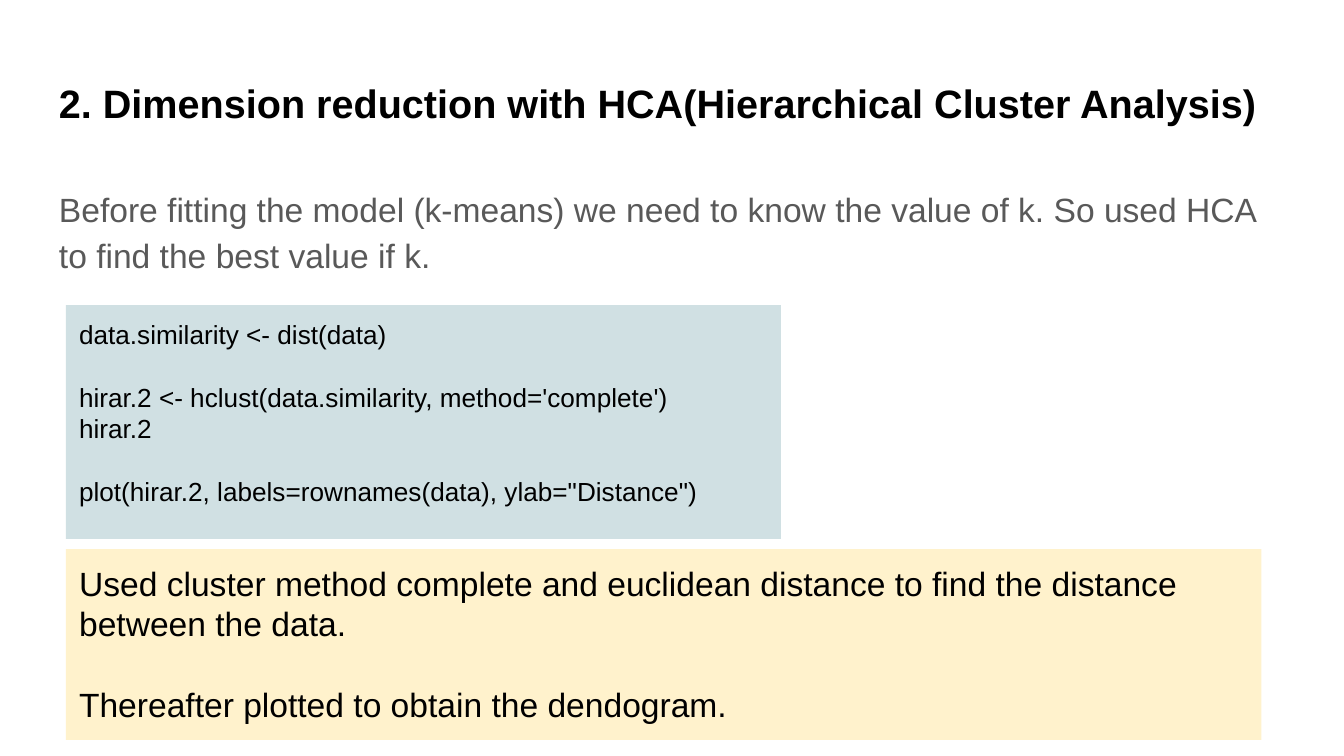
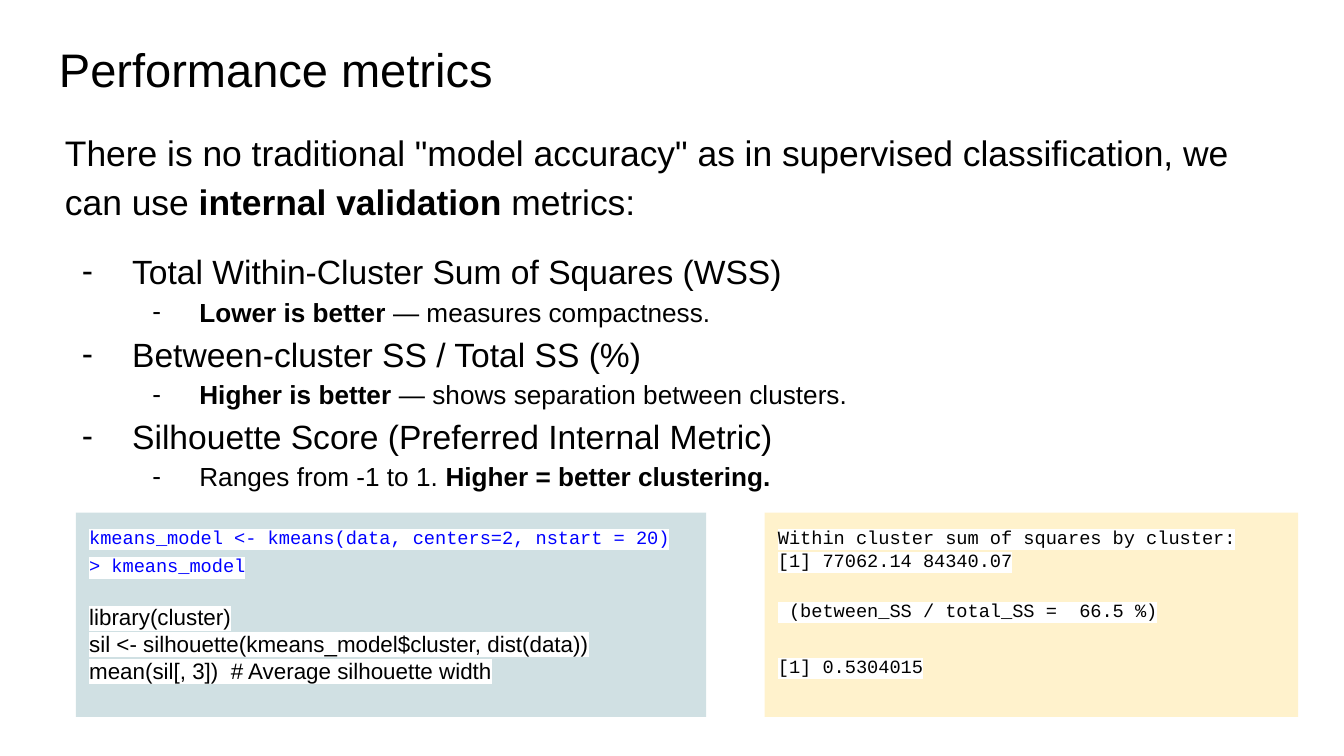
from dataclasses import dataclass

from lxml.etree import SubElement
from pptx import Presentation
from pptx.dml.color import RGBColor
from pptx.enum.shapes import MSO_SHAPE
from pptx.enum.text import MSO_ANCHOR, PP_ALIGN
from pptx.oxml.ns import qn
from pptx.util import Pt

EMU_PER_PX = 4572
COLORS = {
    "ink": "000000",
    "grey": "595959",
    "command": "0000FF",
    "paper": "FFFFFF",
    "code": "D0E0E3",
    "result": "FFF2CC",
}
BODY_FONT = "Arial"
CODE_FONT = "Courier New"
BODY_SPACING = 1.15
CODE_SPACING = 1.25
INDENTS = [(100, -75), (200, -70)]
INSET = 20


@dataclass
class Line:
    text: str
    size: float = 18
    color: str = "ink"
    font: str = BODY_FONT
    bold: bool = False
    spacing: float = 1.0
    before: float = 0
    level: int | None = None
    highlight: bool = False


def px(length):
    return length * EMU_PER_PX


def rgb(name):
    return RGBColor.from_string(COLORS[name])


def add_bullet(paragraph, level):
    paragraph.level = level
    margin, hanging = INDENTS[level]
    properties = paragraph._p.get_or_add_pPr()
    properties.set("marL", str(px(margin)))
    properties.set("indent", str(px(hanging)))
    bullet_color = SubElement(properties, qn("a:buClr"))
    SubElement(bullet_color, qn("a:srgbClr"), val=COLORS["ink"])
    SubElement(properties, qn("a:buFont"), typeface=BODY_FONT)
    SubElement(properties, qn("a:buChar"), char="-")


def add_highlight(run):
    highlight = SubElement(run._r.get_or_add_rPr(), qn("a:highlight"))
    SubElement(highlight, qn("a:srgbClr"), val=COLORS["paper"])


def write_line(paragraph, line):
    paragraph.alignment = PP_ALIGN.LEFT
    paragraph.line_spacing = line.spacing
    paragraph.space_before = Pt(line.before)
    if line.level is not None:
        add_bullet(paragraph, line.level)
    paragraph.font.size = Pt(line.size)
    paragraph.font.name = line.font
    paragraph.font.color.rgb = rgb(line.color)
    parts = line.text.split("**")
    if len(parts) == 1:
        paragraph.font.bold = line.bold
    for index, part in enumerate(parts):
        if not part:
            continue
        run = paragraph.add_run()
        run.text = part
        if len(parts) > 1:
            run.font.bold = index % 2 == 1
        if line.highlight:
            add_highlight(run)


def write_lines(frame, lines):
    frame.word_wrap = True
    frame.vertical_anchor = MSO_ANCHOR.TOP
    frame.margin_left = frame.margin_right = px(INSET)
    frame.margin_top = frame.margin_bottom = px(INSET)
    for index, line in enumerate(lines):
        paragraph = frame.add_paragraph() if index else frame.paragraphs[0]
        write_line(paragraph, line)


def add_text(slide, box, lines):
    text = slide.shapes.add_textbox(*map(px, box))
    write_lines(text.text_frame, lines)


def add_title(slide, top, text, size, bold=False):
    add_text(slide, (68, top, 1864, 126), [Line(text, size, bold=bold)])


def add_panel(slide, box, fill, lines):
    panel = slide.shapes.add_shape(MSO_SHAPE.RECTANGLE, *map(px, box))
    panel.shadow.inherit = False
    panel.fill.solid()
    panel.fill.fore_color.rgb = rgb(fill)
    panel.line.fill.background()
    write_lines(panel.text_frame, lines)


def console(text, color="ink", spacing=1.0, before=0):
    return Line(text, 10, color, CODE_FONT, spacing=spacing, before=before, highlight=True)


def build_hca(slide):
    add_title(slide, 98, "2. Dimension reduction with HCA(Hierarchical Cluster Analysis)", 21.2, bold=True)
    add_text(slide, (68, 252, 1864, 748), [
        Line("Before fitting the model (k-means) we need to know the value of k. "
             "So used HCA to find the best value if k.", color="grey", spacing=BODY_SPACING),
    ])
    add_panel(slide, (98, 454, 1064, 348), "code", [
        Line("data.similarity <- dist(data)", 14),
        Line("hirar.2 <- hclust(data.similarity, method='complete')", 14, before=16.8),
        Line("hirar.2", 14),
        Line('plot(hirar.2, labels=rownames(data), ylab="Distance")', 14, before=16.8),
    ])
    add_panel(slide, (98, 817, 1779, 284), "result", [
        Line("Used cluster method complete and euclidean distance to find the distance between the data."),
        Line("Thereafter plotted to obtain the dendogram.", before=21.6),
    ])


def build_metrics(slide):
    metrics = [
        ("Total Within-Cluster Sum of Squares (WSS)", "**Lower is better** — measures compactness."),
        ("Between-cluster SS / Total SS (%)", "**Higher is better **— shows separation between clusters."),
        ("Silhouette Score (Preferred Internal Metric)", "Ranges from -1 to 1. **Higher = better clustering.**"),
    ]
    body = [Line('There is no traditional "model accuracy" as in supervised classification, '
                 "we can use **internal validation** metrics:", 19, spacing=BODY_SPACING, before=12)]
    for index, (metric, reading) in enumerate(metrics):
        body.append(Line(metric, spacing=BODY_SPACING, before=0 if index else 12, level=0))
        body.append(Line(reading, 14, spacing=BODY_SPACING, level=1))

    add_title(slide, 40, "Performance metrics", 25.2)
    add_text(slide, (77, 166, 1864, 920), body)
    add_panel(slide, (1138, 763, 794, 304), "result", [
        console("Within cluster sum of squares by cluster:"),
        console("[1] 77062.14 84340.07"),
        console(" (between_SS / total_SS =  66.5 %)", spacing=CODE_SPACING, before=12),
        console("[1] 0.5304015", spacing=CODE_SPACING, before=15),
    ])
    add_panel(slide, (113, 763, 938, 304), "code", [
        console("kmeans_model <- kmeans(data, centers=2, nstart = 20)", "command"),
        console("> kmeans_model", "command", CODE_SPACING),
        Line("library(cluster)", 12, before=14.4, highlight=True),
        Line("sil <- silhouette(kmeans_model$cluster, dist(data))", 12, highlight=True),
        Line("mean(sil[, 3])  # Average silhouette width", 12, highlight=True),
    ])


def main():
    deck = Presentation()
    deck.slide_width = px(2000)
    deck.slide_height = px(1125)
    for build in (build_hca, build_metrics):
        slide = deck.slides.add_slide(deck.slide_layouts[6])
        slide.background.fill.solid()
        slide.background.fill.fore_color.rgb = rgb("paper")
        build(slide)
    deck.save("out.pptx")


if __name__ == "__main__":
    main()
